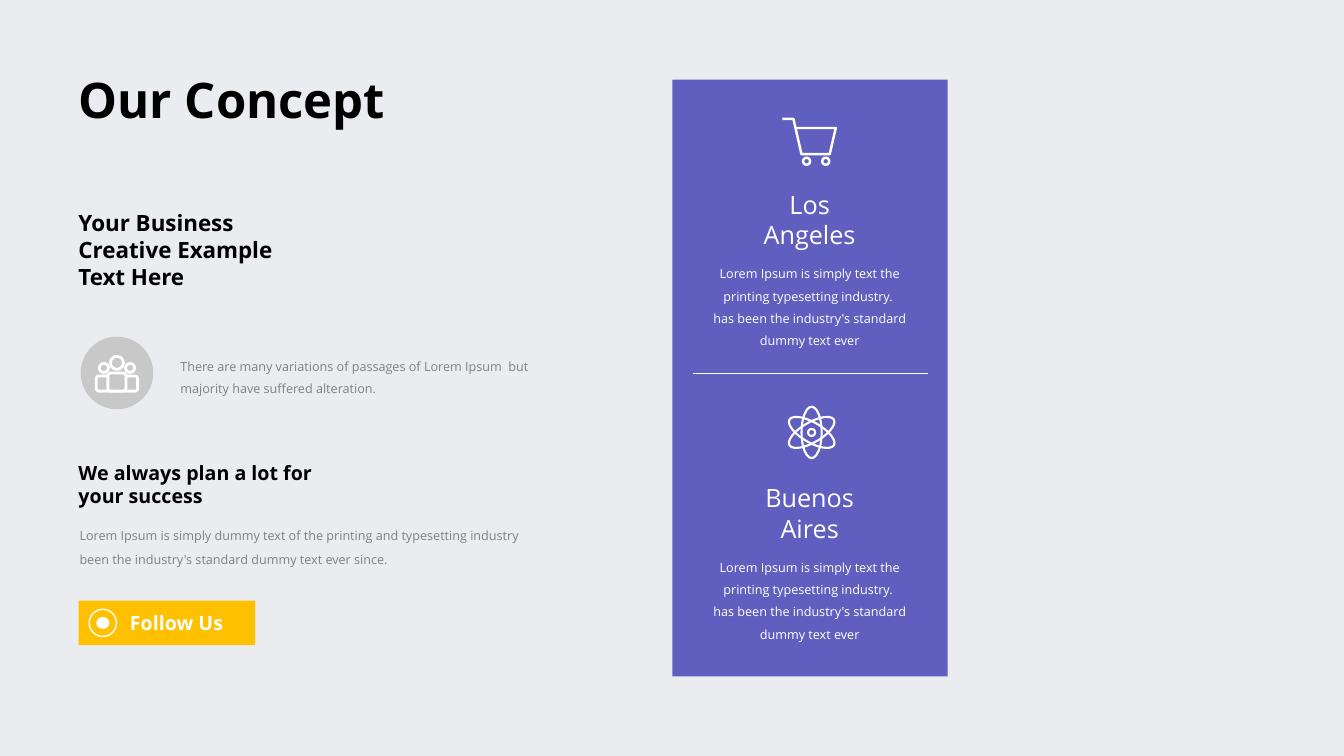
import pptx
import pptx.dml.color
import pptx.enum.shapes
import pptx.enum.text
import pptx.oxml.ns
import pptx.util
from lxml import etree

Inches = pptx.util.Inches
Pt = pptx.util.Pt
Shape = pptx.enum.shapes.MSO_SHAPE
Align = pptx.enum.text.PP_ALIGN

FONT = "Open Sans"
BLACK, WHITE, GREY = "000000", "FFFFFF", "808080"
BACKGROUND, PANEL, BADGE, BUTTON = "EBECF0", "605FC0", "C8C8C8", "FFC000"

PANEL_TEXT_LEFT, PANEL_TEXT_WIDTH = 6.84, 2.38
CITY_STEP = 2.91
CITIES = [["Los", "Angeles"], ["Buenos", "Aires"]]
CITY_NOTE = [
    "Lorem Ipsum is simply text the",
    "printing typesetting industry. ",
    "has been the industry's standard",
    "dummy text ever",
]


def rgb(hex_colour):
    return pptx.dml.color.RGBColor.from_string(hex_colour)


def box(left, top, width, height):
    return [Inches(length) for length in (left, top, width, height)]


def around(x, y, width, height):
    return x - width / 2, y - height / 2, width, height


def set_format(target, values):
    for name, value in values.items():
        setattr(target, name, value)


def paint(part, fill=None, line=None, weight=1):
    part.shadow.inherit = False
    if fill:
        part.fill.solid()
        part.fill.fore_color.rgb = rgb(fill)
    else:
        part.fill.background()
    if line:
        part.line.color.rgb = rgb(line)
        part.line.width = Pt(weight)
    else:
        part.line.fill.background()


def add_preset(slide, preset, place, turn=0, **colours):
    part = slide.shapes.add_shape(preset, *box(*place))
    part.rotation = turn
    paint(part, **colours)


def write(frame, lines, size, colour, bold=False, align=Align.LEFT, spacing=None, wrap=False):
    set_format(frame, {
        "word_wrap": wrap,
        "auto_size": pptx.enum.text.MSO_AUTO_SIZE.NONE,
        "vertical_anchor": pptx.enum.text.MSO_ANCHOR.TOP,
    })
    frame.text = "\n".join(lines)
    for paragraph in frame.paragraphs:
        set_format(paragraph, {
            "alignment": align,
            "line_spacing": Pt(spacing) if spacing else None,
        })
        font = paragraph.runs[0].font
        set_format(font, {"name": FONT, "size": Pt(size), "bold": bold})
        font.color.rgb = rgb(colour)


def add_text(slide, place, lines, size, colour, **options):
    frame = slide.shapes.add_textbox(*box(*place)).text_frame
    write(frame, lines, size, colour, **options)


def add_title(slide):
    title = slide.shapes.title
    left, top, width, height = box(0.68, 0.64, 3.27, 0.69)
    set_format(title, {"left": left, "top": top, "width": width, "height": height})
    write(title.text_frame, ["Our Concept"], 35, BLACK, bold=True)


def add_divider(slide, left, right, y):
    divider = slide.shapes.add_connector(
        pptx.enum.shapes.MSO_CONNECTOR.STRAIGHT,
        Inches(left), Inches(y), Inches(right), Inches(y))
    divider.line.color.rgb = rgb(WHITE)
    divider.line.width = Pt(0.75)
    etree.SubElement(divider._element.spPr, pptx.oxml.ns.qn("a:effectLst"))


def add_cart_icon(slide):
    outline = [(7.76, 1.18), (7.87, 1.18), (7.95, 1.53), (8.23, 1.53), (8.29, 1.27), (7.9, 1.27)]
    start, *corners = [(Inches(x), Inches(y)) for x, y in outline]
    builder = slide.shapes.build_freeform(*start)
    builder.add_line_segments(corners, close=False)
    paint(builder.convert_to_shape(), line=WHITE, weight=1.75)
    for wheel_x in (8, 8.19):
        add_preset(slide, Shape.OVAL, around(wheel_x, 1.6, 0.07, 0.07), line=WHITE, weight=1.75)


def add_atom_icon(slide):
    x, y = 8.05, 4.29
    for turn in (0, 60, 120):
        add_preset(slide, Shape.OVAL, around(x, y, 0.2, 0.51), turn, line=WHITE, weight=1.5)
    add_preset(slide, Shape.OVAL, around(x, y, 0.07, 0.07), line=WHITE, weight=1.5)


def add_team_icon(slide):
    x = 1.16
    add_preset(slide, Shape.OVAL, around(x, 3.7, 0.72, 0.72), fill=BADGE)
    for width, top in ((0.41, 3.73), (0.18, 3.7)):
        add_preset(slide, Shape.ROUNDED_RECTANGLE, (x - width / 2, top, width, 3.88 - top),
                   fill=BADGE, line=WHITE, weight=2)
    for offset, y, size in ((-0.13, 3.65, 0.09), (0, 3.6, 0.13), (0.13, 3.65, 0.09)):
        add_preset(slide, Shape.OVAL, around(x + offset, y, size, size), line=WHITE, weight=2)


def add_city_panel(slide):
    add_preset(slide, Shape.RECTANGLE, (6.67, 0.79, 2.73, 5.92), fill=PANEL)
    add_divider(slide, 6.87, 9.2, 3.71)
    for index, city in enumerate(CITIES):
        shift = index * CITY_STEP
        add_text(slide, (PANEL_TEXT_LEFT, 1.83 + shift, PANEL_TEXT_WIDTH, 0.71),
                 city, 18, WHITE, align=Align.CENTER, wrap=True)
        add_text(slide, (PANEL_TEXT_LEFT, 2.52 + shift, PANEL_TEXT_WIDTH, 0.97),
                 CITY_NOTE, 9, WHITE, align=Align.CENTER, spacing=16, wrap=True)
    add_cart_icon(slide)
    add_atom_icon(slide)


def add_follow_button(slide):
    add_preset(slide, Shape.RECTANGLE, (0.78, 5.96, 1.75, 0.44), fill=BUTTON)
    add_preset(slide, Shape.OVAL, around(1.02, 6.18, 0.27, 0.27), line=WHITE)
    add_preset(slide, Shape.OVAL, around(1.02, 6.18, 0.13, 0.12), fill=WHITE)
    add_text(slide, (1.19, 6.01, 1.13, 0.34), ["Follow Us"], 14, WHITE, bold=True)


def add_concept_text(slide):
    add_text(slide, (0.68, 2.03, 2.15, 0.91),
             ["Your Business", "Creative Example", "Text Here"], 16, BLACK, bold=True)
    add_text(slide, (1.69, 3.44, 3.88, 0.53),
             ["There are many variations of passages of Lorem Ipsum  but majority have suffered alteration."],
             9, GREY, spacing=16, wrap=True)
    add_text(slide, (0.68, 4.52, 2.58, 0.57),
             ["We always plan a lot for", "your success"], 14, BLACK, bold=True)
    add_text(slide, (0.69, 5.1, 5.09, 0.55),
             ["Lorem Ipsum is simply dummy text of the printing and typesetting industry",
              "been the industry's standard dummy text ever since."],
             9, GREY, spacing=17, wrap=True)


def main():
    """Build the concept slide and save it."""
    deck = pptx.Presentation()
    set_format(deck, {"slide_width": Inches(13.33), "slide_height": Inches(7.5)})
    slide = deck.slides.add_slide(deck.slide_layouts.get_by_name("Title Only"))
    slide.background.fill.solid()
    slide.background.fill.fore_color.rgb = rgb(BACKGROUND)
    add_title(slide)
    add_city_panel(slide)
    add_concept_text(slide)
    add_team_icon(slide)
    add_follow_button(slide)
    deck.save("out.pptx")


if __name__ == "__main__":
    main()
